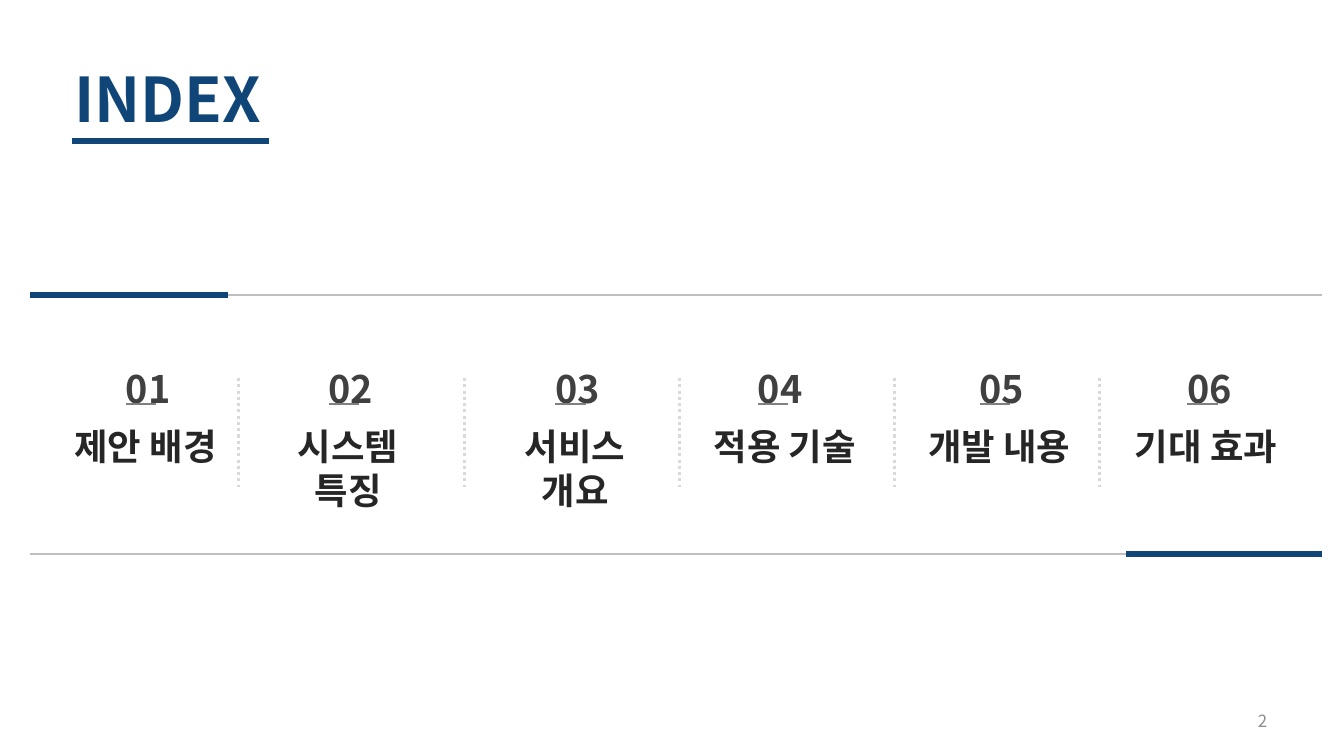
from dataclasses import dataclass

from lxml.etree import SubElement
from pptx import Presentation
from pptx.dml.color import RGBColor
from pptx.enum.dml import MSO_LINE
from pptx.enum.shapes import MSO_CONNECTOR
from pptx.enum.text import MSO_ANCHOR, MSO_AUTO_SIZE, PP_ALIGN
from pptx.oxml.ns import qn
from pptx.util import Inches, Pt


@dataclass(frozen=True)
class Theme:
    font: str = "Noto Sans CJK KR"
    navy: str = "104577"
    rule: str = "BFBFBF"
    divider: str = "D9D9D9"
    underline: str = "808080"
    number: str = "404040"
    label: str = "262626"
    page: str = "8C8C8C"
    title_size: int = 44
    number_size: int = 27
    label_size: int = 26
    page_size: int = 12
    accent_width: float = 4.5
    divider_width: float = 2.25
    rule_width: float = 1.5
    underline_width: float = 1


class IndexSlide:
    columns = 80
    rows = 45

    def __init__(self, deck, theme):
        self.theme = theme
        self.slide = deck.slides.add_slide(deck.slide_layouts[6])
        self.column = deck.slide_width / self.columns
        self.row = deck.slide_height / self.rows

    def x(self, columns):
        return round(columns * self.column)

    def y(self, rows):
        return round(rows * self.row)

    def line(self, left, top, right, bottom, color, width, dash=None):
        connector = self.slide.shapes.add_connector(
            MSO_CONNECTOR.STRAIGHT, self.x(left), self.y(top), self.x(right), self.y(bottom))
        connector.line.color.rgb = RGBColor.from_string(color)
        connector.line.width = Pt(width)
        if dash:
            connector.line.dash_style = dash
        SubElement(connector.line._get_or_add_ln().getparent(), qn("a:effectLst"))

    def text(self, words, left, top, width, height, size, color, bold=True,
             align=PP_ALIGN.LEFT, anchor=MSO_ANCHOR.TOP, grow=True):
        box = self.slide.shapes.add_textbox(
            self.x(left), self.y(top), self.x(width), self.y(height))
        frame = box.text_frame
        frame.text = words
        frame.word_wrap = True
        frame.vertical_anchor = anchor
        frame.auto_size = MSO_AUTO_SIZE.SHAPE_TO_FIT_TEXT if grow else MSO_AUTO_SIZE.NONE
        paragraph = frame.paragraphs[0]
        paragraph.alignment = align
        font = paragraph.runs[0].font
        font.name = self.theme.font
        font.size = Pt(size)
        font.bold = bold
        font.color.rgb = RGBColor.from_string(color)
        SubElement(font._element, qn("a:ea"), typeface=self.theme.font)

    def title(self, words):
        theme = self.theme
        self.text(words, 3.84, 3.36, 18.36, 4.98, theme.title_size, theme.navy)
        self.line(4.26, 8.4, 16.02, 8.4, theme.navy, theme.accent_width)

    def band_edge(self, row, accent_left, accent_right):
        theme = self.theme
        self.line(1.8, row, 78.72, row, theme.rule, theme.rule_width)
        self.line(accent_left, row, accent_right, row, theme.navy, theme.accent_width)

    def entry(self, number, label, number_left, label_left):
        theme = self.theme
        self.text(f"{number:02}", number_left, 21.48, 6.24, 3.24,
                  theme.number_size, theme.number)
        underline_left = number_left + 0.6
        self.line(underline_left, 24.06, underline_left + 1.8, 24.06,
                  theme.underline, theme.underline_width)
        self.text(label, label_left, 24.96, 10.62, 3.18,
                  theme.label_size, theme.label, align=PP_ALIGN.CENTER)

    def divider(self, column):
        self.line(column, 22.5, column, 28.98, self.theme.divider,
                  self.theme.divider_width, MSO_LINE.ROUND_DOT)

    def page_number(self, number):
        self.text(str(number), 57.36, 41.7, 18.66, 2.4, self.theme.page_size,
                  self.theme.page, bold=False, align=PP_ALIGN.RIGHT,
                  anchor=MSO_ANCHOR.MIDDLE, grow=False)


ENTRIES = [
    ("제안 배경", 6.9, 3.36),
    ("시스템 특징", 18.96, 15.42),
    ("서비스 개요", 32.46, 28.92),
    ("적용 기술", 44.52, 41.4),
    ("개발 내용", 57.72, 54.18),
    ("기대 효과", 70.08, 66.48),
]
DIVIDERS = [14.22, 27.66, 40.44, 53.22, 65.46]


def main():
    deck = Presentation()
    deck.slide_width = Inches(13.33)
    deck.slide_height = Inches(7.5)
    index = IndexSlide(deck, Theme())
    index.title("INDEX")
    index.band_edge(17.58, 1.8, 13.56)
    index.band_edge(32.96, 67.02, 78.72)
    for number, (label, number_left, label_left) in enumerate(ENTRIES, 1):
        index.entry(number, label, number_left, label_left)
    for column in DIVIDERS:
        index.divider(column)
    index.page_number(2)
    deck.save("out.pptx")


if __name__ == "__main__":
    main()
